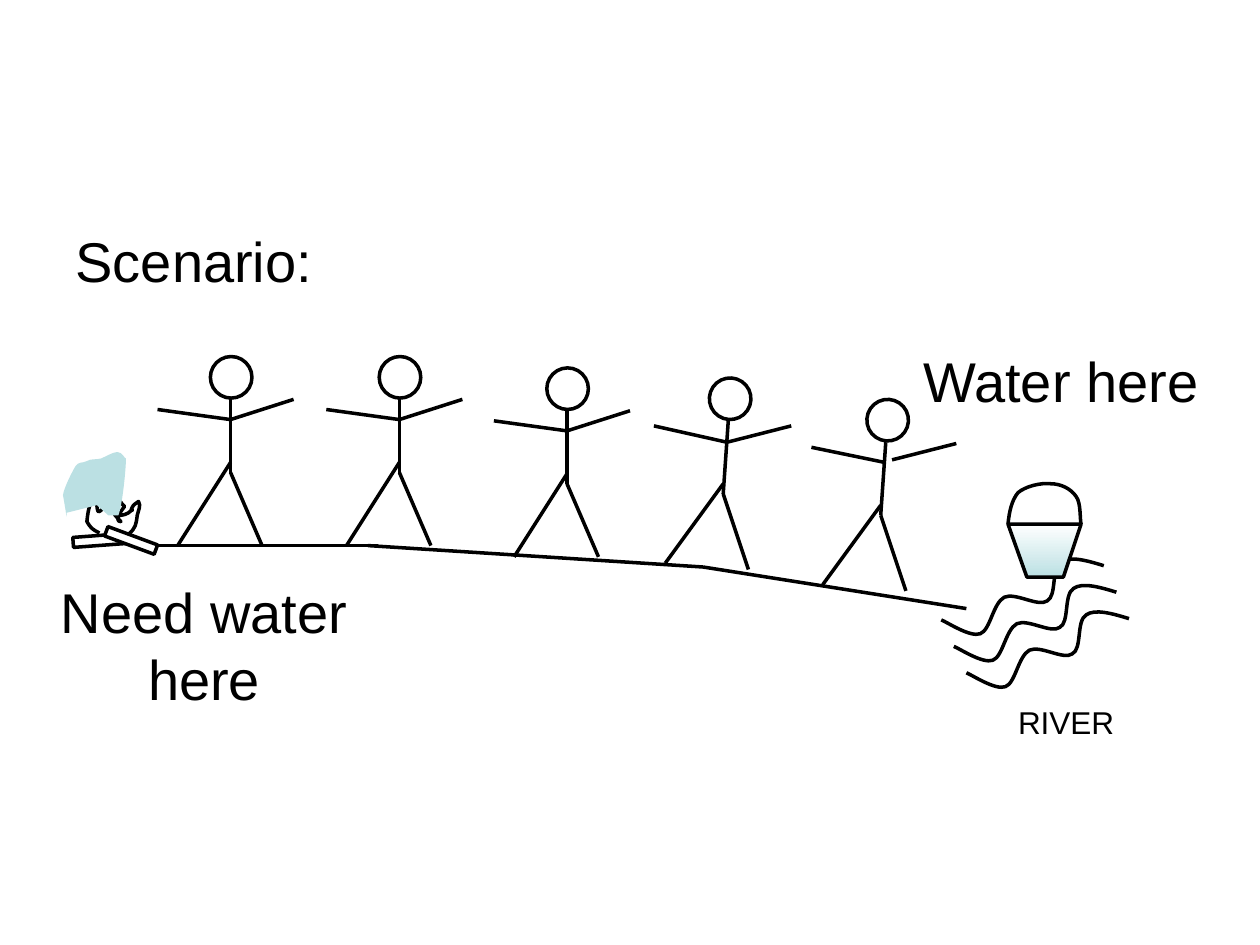
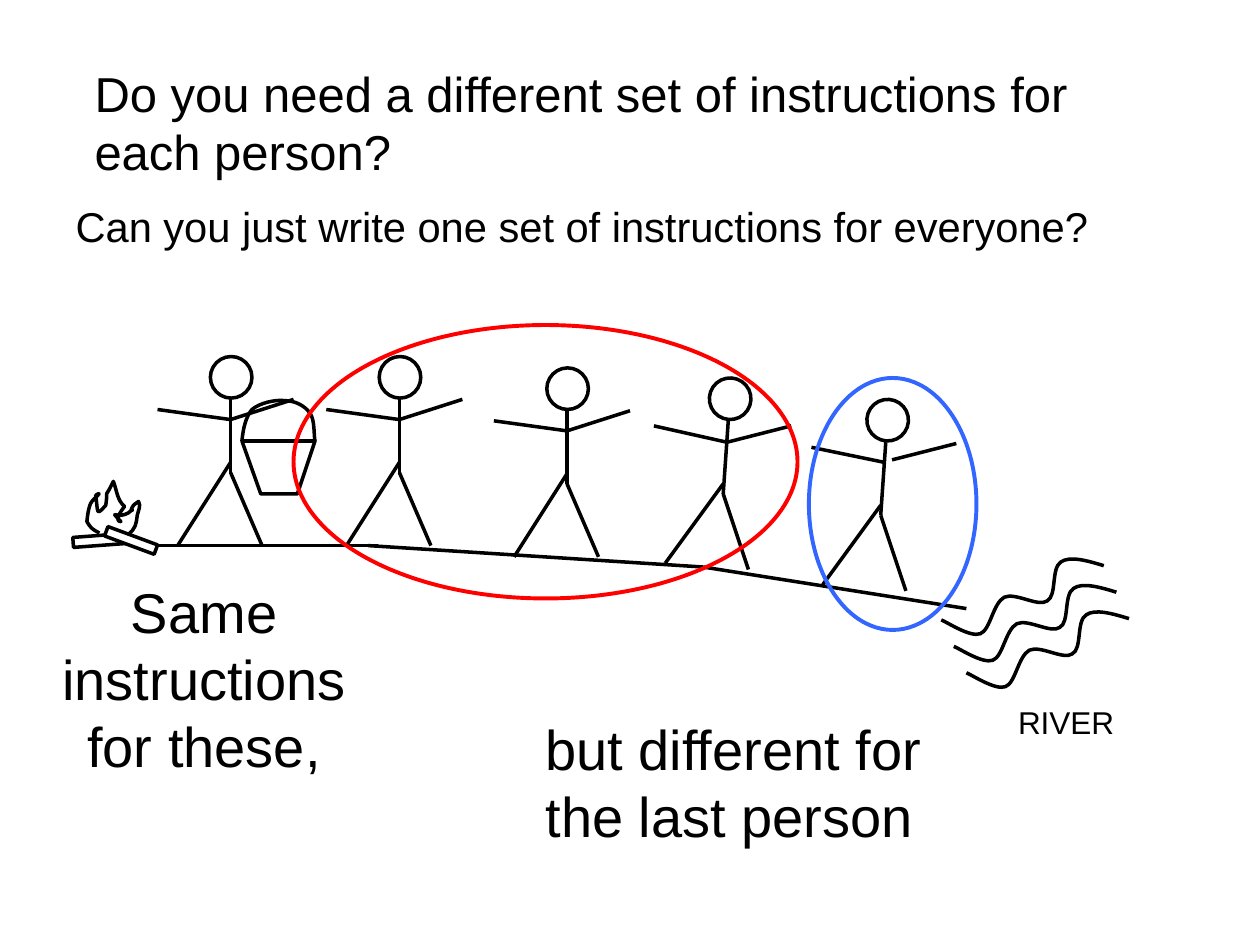
from dataclasses import dataclass

from lxml import etree
from pptx import Presentation
from pptx.dml.color import RGBColor
from pptx.enum.shapes import MSO_CONNECTOR, MSO_SHAPE
from pptx.enum.text import MSO_ANCHOR, MSO_AUTO_SIZE, PP_ALIGN
from pptx.oxml.ns import qn
from pptx.util import Cm, Pt

LINE = MSO_CONNECTOR.STRAIGHT
OVAL, RECT = MSO_SHAPE.OVAL, MSO_SHAPE.RECTANGLE
LEFT, MID = PP_ALIGN.LEFT, PP_ALIGN.CENTER
TOP, FIXED = MSO_ANCHOR.TOP, MSO_AUTO_SIZE.NONE


@dataclass(frozen=True)
class Theme:
    font: str = "Arial"
    ink: str = "000000"
    paper: str = "FFFFFF"
    water: str = "BBE0E3"
    red: str = "FF0000"
    blue: str = "3366FF"
    big: float = 32
    head: float = 28
    body: float = 23.8
    small: float = 18
    pen: float = 2
    ring: float = 2.25


T = Theme()

# Content: text, box (left, top, width, height), size, alignment
RIVER = ("RIVER", (8.08, 5.58, 1, 0.3), T.small, LEFT)
SCENE = {
    "title": ("Scenario:", (0.5, 1.75, 8.33, 0.75), T.big, LEFT),
    "notes": [
        RIVER,
        ("Need water here", (0.33, 4.58, 2.58, 1.07), T.big, MID),
        ("Water here", (7.33, 2.75, 2.33, 0.53), T.big, LEFT),
    ],
    "pail": (8, 4.16),
    "full": True,
    "smoke": True,
    "rings": [],
}
ASK = {
    "title": ("Do you need a different set of instructions for each person?",
              (0.75, 0.5, 8.25, 0.93), T.head, LEFT),
    "body": ("Can you just write one set of instructions for everyone?",
             (0.5, 1.54, 8.33, 0.75), T.body, LEFT),
    "notes": [
        RIVER,
        ("Same instructions for these,", (0.33, 4.58, 2.58, 1.6), T.big, MID),
        ("but different for the last person", (4.33, 5.67, 3, 1.07), T.big, LEFT),
    ],
    "pail": (1.92, 3.5),
    "full": False,
    "smoke": False,
    "rings": [((2.33, 2.58, 4, 2.17), T.red), ((6.42, 3, 1.33, 2), T.blue)],
}

# Drawing data, in units of 2.54 cm
UNIT = 2.54
PAD = (0.1, 0.05)
GROUND = [(1.08, 4.33, 3, 4.33), (2.92, 4.33, 5.58, 4.5), (5.58, 4.5, 7.67, 4.83)]
HEAD = 0.33

# Poses: head corner, tilt, limbs, all measured from the neck
POSES = {
    "up": ((-0.16, -0.34), 0, [
        (0, 0, 0, 0.58), (0, 0.5, -0.42, 1.16), (0, 0.58, 0.25, 1.16),
        (0, 0.16, -0.58, 0.08), (0, 0.16, 0.5, 0)]),
    "lean": ((-0.15, -0.34), 4.3, [
        (0, 0, -0.04, 0.58), (-0.04, 0.5, -0.5, 1.13), (-0.04, 0.58, 0.16, 1.18),
        (-0.01, 0.17, -0.59, 0.04), (-0.01, 0.17, 0.5, 0.04)]),
    "reach": ((-0.15, -0.34), 4.3, [
        (0, 0, -0.04, 0.58), (-0.04, 0.5, -0.5, 1.13), (-0.04, 0.58, 0.16, 1.18),
        (-0.01, 0.16, -0.59, 0.04), (0.05, 0.14, 0.56, 0.01)]),
}
CREW = [("up", 1.83, 3.17), ("up", 3.17, 3.17), ("up", 4.5, 3.26),
        ("lean", 5.78, 3.34), ("reach", 7.03, 3.51)]

# Outlines: start point, then lines (2 values) or Bezier curves (6 values)
WAVE = ((8.76, 4.49), [
    (8.63, 4.45, 8.49, 4.41, 8.42, 4.46), (8.34, 4.51, 8.39, 4.73, 8.31, 4.77),
    (8.24, 4.82, 8.06, 4.7, 7.97, 4.74), (7.88, 4.79, 7.86, 5, 7.78, 5.03),
    (7.7, 5.06, 7.52, 4.94, 7.47, 4.92)])
FLAME = ((0.79, 4.23), [
    (0.73, 4.2, 0.72, 4.19, 0.69, 4.14), (0.69, 4.14, 0.7, 4.01, 0.73, 3.98),
    (0.74, 3.96, 0.83, 3.89, 0.76, 3.93), (0.78, 4.07, 0.76, 4.1, 0.84, 4.01),
    (0.86, 3.87, 0.83, 3.95, 0.87, 3.88), (0.88, 3.86, 0.9, 3.82, 0.9, 3.82),
    (0.93, 3.9, 0.93, 3.97, 0.99, 4.02), (0.97, 4.04, 0.9, 4.14, 0.96, 4.14),
    (0.89, 4.06, 0.9, 4.09, 0.96, 4.09), (0.98, 4.09, 1, 4.08, 1.02, 4.07),
    (1.1, 4, 1, 4.11, 1.06, 4.01), (1.07, 4, 1.1, 3.98, 1.1, 3.98),
    (1.12, 4.02, 1.1, 4.04, 1.09, 4.09), (1.08, 4.16, 1.08, 4.19, 1.02, 4.24),
    (1, 4.26, 0.94, 4.27, 0.94, 4.27)])
SMOKE = ((0.8, 3.64), [
    (0.76, 3.65, 0.72, 3.64, 0.69, 3.66), (0.65, 3.68, 0.63, 3.66, 0.6, 3.7),
    (0.57, 3.75, 0.51, 3.87, 0.5, 3.93), (0.53, 4.09, 0.53, 4.14, 0.53, 4.07),
    (0.77, 4.01), (0.86, 4.09), (0.94, 4.09),
    (0.97, 4.02, 1, 3.73, 1, 3.64), (0.99, 3.64, 0.97, 3.59, 0.94, 3.59),
    (0.91, 3.58, 0.83, 3.63, 0.8, 3.64)])
PAIL = ((0, 0), [(0.15, 0.42), (0.44, 0.42), (0.58, 0), (0, 0)])
GRIP = ((0, 0), [
    (0.01, -0.1, 0.03, -0.19, 0.08, -0.25), (0.14, -0.3, 0.26, -0.33, 0.34, -0.32),
    (0.42, -0.32, 0.5, -0.28, 0.54, -0.22), (0.58, -0.17, 0.57, -0.04, 0.58, 0)])
LOGS = [((0.58, 4.25, 0.42, 0.08), -4.3, None), ((0.83, 4.25, 0.42, 0.08), 20.3, T.paper)]


# Helpers
def cm(v):
    return Cm(v * UNIT)


def rgb(code):
    return RGBColor.from_string(code)


def style(shape, fill=None, line=T.ink, width=T.pen):
    shape.shadow.inherit = False
    if fill:
        shape.fill.solid()
        shape.fill.fore_color.rgb = rgb(fill)
    else:
        shape.fill.background()
    if line:
        shape.line.color.rgb = rgb(line)
        shape.line.width = Pt(width)
    else:
        shape.line.fill.background()


def form(pool, kind, box, turn=0, **look):
    shape = pool.add_shape(kind, *map(cm, box))
    shape.rotation = turn
    style(shape, **look)


def stroke(pool, ends, dx=0, dy=0):
    x1, y1, x2, y2 = ends
    line = pool.add_connector(LINE, cm(x1 + dx), cm(y1 + dy), cm(x2 + dx), cm(y2 + dy))
    line.line.color.rgb = rgb(T.ink)
    line.line.width = Pt(T.pen)
    etree.SubElement(line._element.spPr, qn("a:effectLst"))


def curve(shape, segs):
    """Turn each run of three straight steps into one Bezier curve."""
    steps = iter(list(shape._element.iter(qn("a:lnTo"))))
    for seg in segs:
        part = [next(steps) for _ in range(len(seg) // 2)]
        if len(part) == 3:
            bend = part[0].makeelement(qn("a:cubicBezTo"))
            part[0].addprevious(bend)
            for step in part:
                bend.append(step[0])
                step.getparent().remove(step)


def trace(pool, path, dx=0, dy=0, close=False, **look):
    start, segs = path
    spots = [start] + [seg[i:i + 2] for seg in segs for i in range(0, len(seg), 2)]
    spots = [(cm(x + dx), cm(y + dy)) for x, y in spots]
    pen = pool.build_freeform(*spots[0])
    pen.add_line_segments(spots[1:], close=close)
    shape = pen.convert_to_shape()
    curve(shape, segs)
    style(shape, **look)
    return shape


def write(shape, note, pad=(0, 0)):
    text, box, size, align = note
    shape.left, shape.top, shape.width, shape.height = map(cm, box)
    frame = shape.text_frame
    frame.text = text
    frame.word_wrap, frame.auto_size, frame.vertical_anchor = True, FIXED, TOP
    frame.margin_left = frame.margin_right = cm(pad[0])
    frame.margin_top = frame.margin_bottom = cm(pad[1])
    para = frame.paragraphs[0]
    props = para._p.get_or_add_pPr()
    props.set("marL", "0")
    props.set("indent", "0")
    etree.SubElement(props, qn("a:buNone"))
    para.alignment, para.line_spacing, para.space_before = align, 1.0, Pt(0)
    for run in para.runs:
        run.font.name, run.font.size = T.font, Pt(size)
        run.font.color.rgb = rgb(T.ink)


# Parts of the scene
def person(pool, pose, x, y):
    (hx, hy), tilt, limbs = POSES[pose]
    form(pool, OVAL, (x + hx, y + hy, HEAD, HEAD), tilt)
    for limb in limbs:
        stroke(pool, limb, x, y)


def fire(pool):
    trace(pool, FLAME)
    for box, turn, fill in LOGS:
        form(pool, RECT, box, turn, fill=fill)


def bucket(pool, x, y, full):
    pail = trace(pool, PAIL, x, y, close=True)
    if full:
        pail.fill.gradient()
        pail.fill.gradient_angle = 270
        for stop, code in zip(pail.fill.gradient_stops, (T.paper, T.water)):
            stop.color.rgb = rgb(code)
    trace(pool, GRIP, x, y)


def draw(slide, data):
    pool = slide.shapes

    def group():
        return pool.add_group_shape().shapes

    for ends in GROUND:
        stroke(pool, ends)
    river = group()
    for i in range(3):
        trace(river, WAVE, i * 0.1, i * 0.21)
    for pose, x, y in CREW:
        person(group(), pose, x, y)
    fire(group())
    bucket(group(), *data["pail"], data["full"])
    if data["smoke"]:
        trace(pool, SMOKE, close=True, fill=T.water, line=None)
    for box, code in data["rings"]:
        form(pool, OVAL, box, line=code, width=T.ring)
    for note in data["notes"]:
        write(pool.add_textbox(0, 0, 0, 0), note)


def main():
    deck = Presentation()
    deck.slide_width, deck.slide_height = cm(10), cm(7.5)
    plain, full = deck.slide_layouts[5], deck.slide_layouts[1]

    # Scenario
    slide = deck.slides.add_slide(plain)
    write(slide.shapes.title, SCENE["title"], PAD)
    draw(slide, SCENE)

    # Question
    slide = deck.slides.add_slide(full)
    write(slide.shapes.title, ASK["title"])
    write(slide.placeholders[1], ASK["body"], PAD)
    draw(slide, ASK)

    deck.save("out.pptx")


if __name__ == "__main__":
    main()
